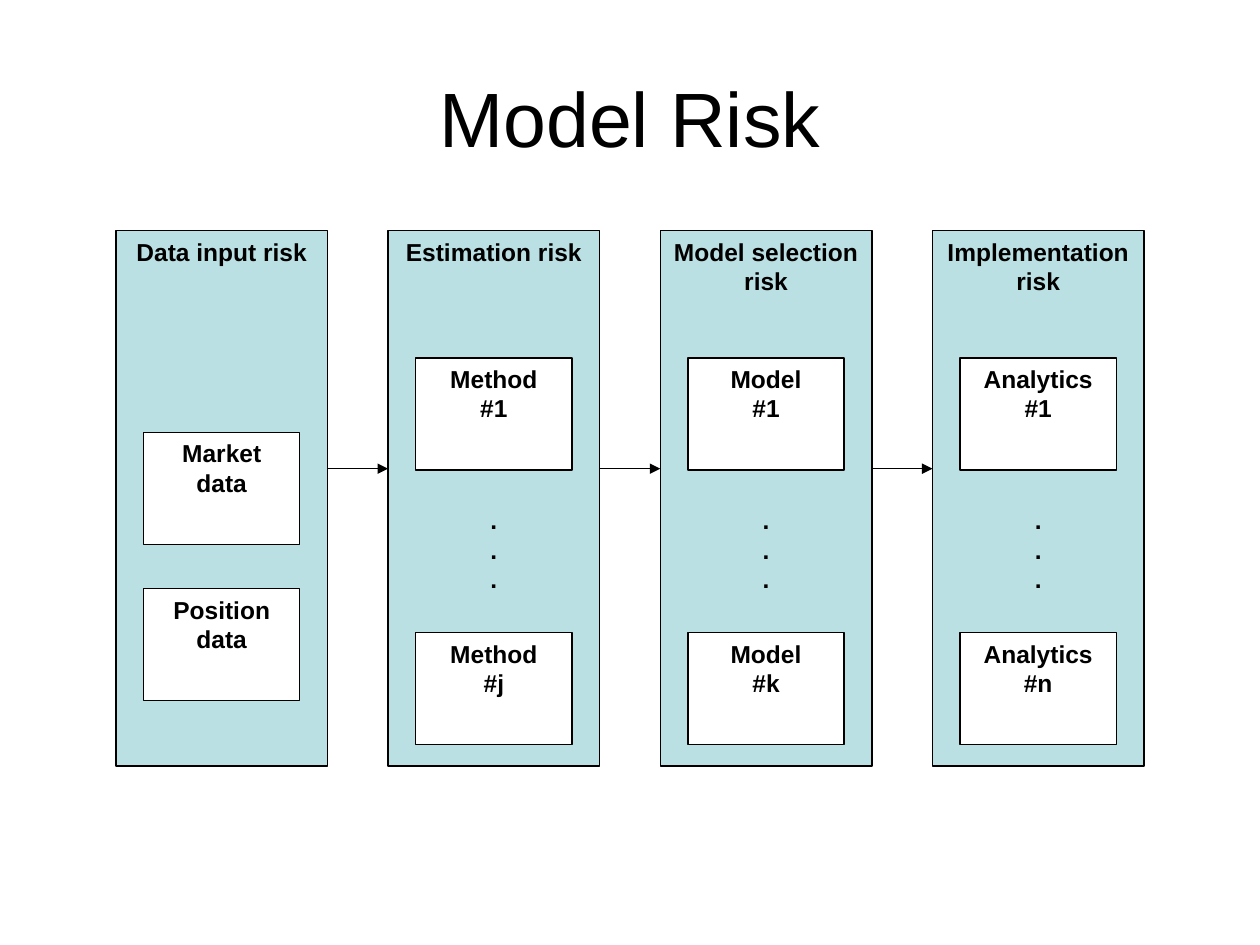
import pptx
import pptx.dml.color
import pptx.enum.shapes
import pptx.enum.text
import pptx.oxml.ns
import pptx.util
import lxml.etree

Inches = pptx.util.Inches
SHAPES = pptx.enum.shapes.MSO_SHAPE
ANCHORS = pptx.enum.text.MSO_ANCHOR

INK, PANEL, CARD = "000000", "BBE0E3", "FFFFFF"
LEFT, TOP = 0.92, 1.83
COLUMN_WIDTH, COLUMN_HEIGHT, COLUMN_STEP = 1.68, 4.25, 2.16
CARD_INSET, CARD_HEIGHT = 0.22, 0.89
ARROW_DROP = 1.89


def series(name, last):
    """Cards for the first and last of a numbered series, with dots between."""
    return [(1.01, [name, "#1"], CARD),
            (3.19, [name, last], CARD),
            (2.13, [".", ".", "."], None)]


# Heading, side margin of the heading, then (drop from column top, lines, fill) per card
COLUMNS = [
    ("Data input risk", 0.1, [(1.6, ["Market data"], CARD),
                              (2.84, ["Position data"], CARD)]),
    ("Estimation risk", 0.1, series("Method", "#j")),
    ("Model selection risk", 0.1, series("Model", "#k")),
    ("Implementation risk", 0, series("Analytics", "#n")),
]


def colour(code):
    return pptx.dml.color.RGBColor.from_string(code)


def write(shape, lines, size, bold, anchor=ANCHORS.TOP, margin=0.1):
    frame = shape.text_frame
    frame.word_wrap = True
    frame.vertical_anchor = anchor
    frame.margin_left = frame.margin_right = Inches(margin)
    frame.margin_top = frame.margin_bottom = Inches(0.05)
    for index, line in enumerate(lines):
        para = frame.paragraphs[0] if index == 0 else frame.add_paragraph()
        para.alignment = pptx.enum.text.PP_ALIGN.CENTER
        span = para.add_run()
        span.text = line
        span.font.name = "Arial"
        span.font.size = pptx.util.Pt(size)
        span.font.bold = bold
        span.font.color.rgb = colour(INK)


def add_text(page, box, lines, size=14, bold=True, **layout):
    shape = page.shapes.add_textbox(*map(Inches, box))
    write(shape, lines, size, bold, **layout)


def add_panel(page, box, lines, fill, margin=0.1):
    shape = page.shapes.add_shape(SHAPES.RECTANGLE, *map(Inches, box))
    shape.shadow.inherit = False
    shape.fill.solid()
    shape.fill.fore_color.rgb = colour(fill)
    shape.line.color.rgb = colour(INK)
    shape.line.width = pptx.util.Pt(0.75)
    write(shape, lines, 14, True, margin=margin)


def add_column(page, box, heading, margin, cards):
    left, top, width, height = box
    add_panel(page, box, [heading], PANEL, margin)
    for drop, lines, fill in cards:
        card = (left + CARD_INSET, top + drop, width - 2 * CARD_INSET, CARD_HEIGHT)
        if fill:
            add_panel(page, card, lines, fill)
        else:
            add_text(page, card, lines)


def add_arrow(page, start, end, height):
    arrow = page.shapes.add_connector(
        pptx.enum.shapes.MSO_CONNECTOR.STRAIGHT,
        *map(Inches, (start, height, end, height)))
    arrow.line.color.rgb = colour(INK)
    arrow.line.width = pptx.util.Pt(0.75)
    properties = arrow._element.spPr
    outline = properties.find(pptx.oxml.ns.qn("a:ln"))
    lxml.etree.SubElement(outline, pptx.oxml.ns.qn("a:tailEnd"), type="triangle")
    lxml.etree.SubElement(properties, pptx.oxml.ns.qn("a:effectLst"))


def add_pipeline(page, left, top):
    for index, (heading, margin, cards) in enumerate(COLUMNS):
        x = left + index * COLUMN_STEP
        add_column(page, (x, top, COLUMN_WIDTH, COLUMN_HEIGHT), heading, margin, cards)
        if index:
            add_arrow(page, x - COLUMN_STEP + COLUMN_WIDTH, x, top + ARROW_DROP)


def main():
    deck = pptx.Presentation()
    deck.slide_width, deck.slide_height = Inches(10), Inches(7.5)
    page = deck.slides.add_slide(deck.slide_layouts[6])
    add_text(page, (0.5, 0.3, 9, 1.25), ["Model Risk"], size=44, bold=False,
             anchor=ANCHORS.MIDDLE)
    add_pipeline(page, LEFT, TOP)
    deck.save("out.pptx")


if __name__ == "__main__":
    main()
